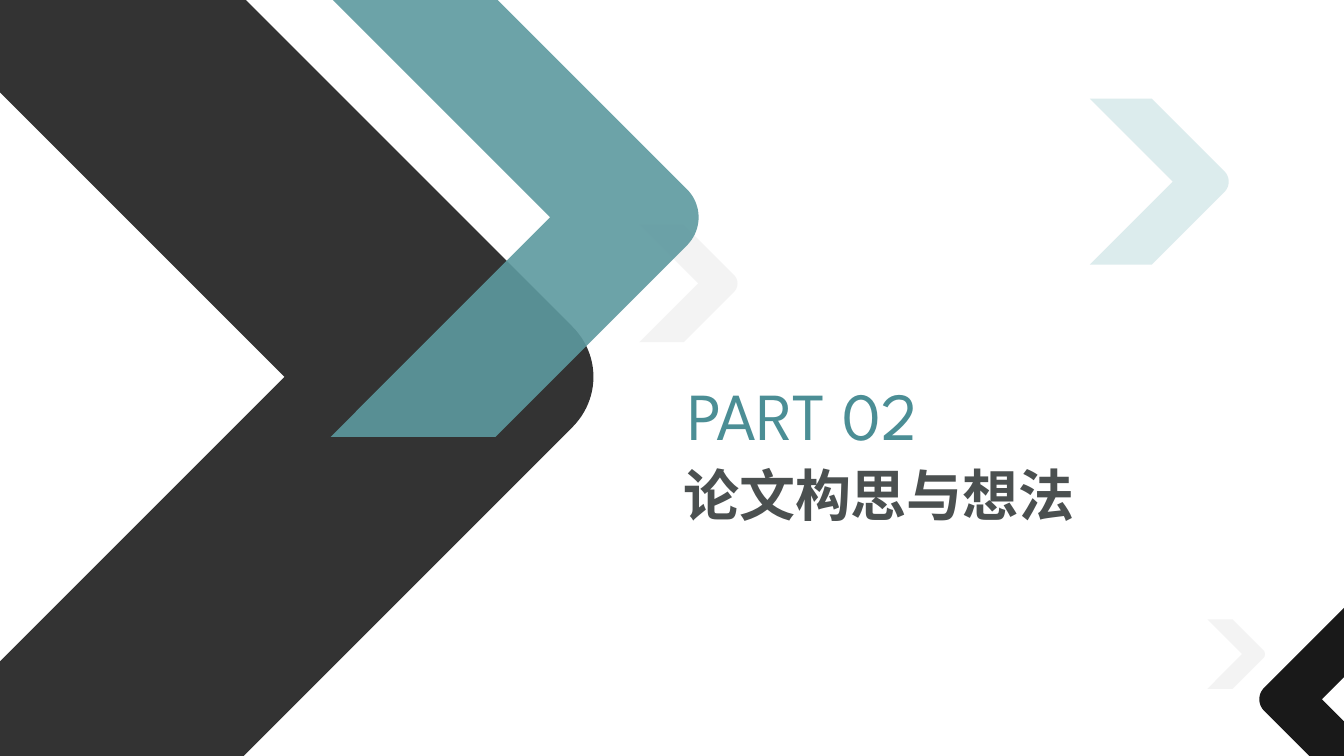
from dataclasses import dataclass
from math import cos, radians, sin

from lxml.etree import SubElement
from pptx import Presentation
from pptx.dml.color import RGBColor
from pptx.enum.text import MSO_ANCHOR, MSO_AUTO_SIZE, PP_ALIGN
from pptx.oxml.ns import qn
from pptx.util import Pt

PX = 9525
WIDTH, HEIGHT = 1280, 720
CORNER_STEPS = 24
CONTROL_RATIO = 0.44

Point = tuple[float, float]


@dataclass(frozen=True)
class Chevron:
    """An arrow outline with a rounded tip; a negative corner points left."""

    tip: int
    middle: int
    corner: int
    arms: tuple[Point, ...]
    color: str
    opacity: int = 90


@dataclass(frozen=True)
class Heading:
    """One line of heading text and its place."""

    text: str
    left: int
    top: int
    width: int
    height: int
    size: int
    color: str
    bold: bool
    wrap: bool


def whole_chevron(left: int, middle: int, half: int, thick: int,
                  corner: int, color: str) -> Chevron:
    """Return an unclipped chevron whose arms run at 45 degrees."""
    top, bottom = middle - half, middle + half
    arms = ((left + thick, bottom), (left, bottom), (left + half, middle),
            (left, top), (left + thick, top))
    return Chevron(left + thick + half, middle, corner, arms, color)


CHEVRONS = (
    whole_chevron(609, 270, 56, 42, 8, "F2F2F2"),
    Chevron(593, 359, 48, ((232, HEIGHT), (0, HEIGHT), (0, 630), (271, 359),
                           (0, 88), (0, 0), (234, 0)), "333333", 100),
    whole_chevron(315, 207, 209, 157, 27, "5D999F"),
    Chevron(1193, 666, -11, ((1247, HEIGHT), (WIDTH, HEIGHT), (WIDTH, 687),
                             (1259, 666), (WIDTH, 645), (WIDTH, 579)), "000000"),
    whole_chevron(1038, 173, 79, 59, 10, "D9EAEC"),
    whole_chevron(1150, 623, 33, 24, 4, "F2F2F2"),
)

SECTION_NUMBER = Heading("PART 02", 645, 350, 262, 87, 48, "4B8E95", False, False)
SECTION_TITLE = Heading("论文构思与想法", 641, 434, 551, 74, 40, "4B5050", True, True)


def rgb(color: str) -> RGBColor:
    """Turn a hex string into a colour."""
    return RGBColor.from_string(color)


def rounded_tip(chevron: Chevron) -> list[Point]:
    """Sample the cubic curve around the tip from top to bottom."""
    reach = abs(chevron.corner)
    points = []
    for step in range(CORNER_STEPS + 1):
        t = step / CORNER_STEPS
        ends = (1 - t) ** 3, t ** 3
        controls = 3 * t * (1 - t) ** 2, 3 * t ** 2 * (1 - t)
        inset = sum(ends) + CONTROL_RATIO * sum(controls)
        drop = ends[1] - ends[0] + CONTROL_RATIO * (controls[1] - controls[0])
        points.append((chevron.tip - chevron.corner * inset,
                       chevron.middle + reach * drop))
    return points


def turned(point: Point, degrees: float) -> Point:
    """Turn a point clockwise about the slide's corner."""
    x, y = point
    angle = radians(degrees)
    return x * cos(angle) - y * sin(angle), x * sin(angle) + y * cos(angle)


def draw_chevron(slide, chevron: Chevron) -> None:
    """Draw one chevron as a filled freeform in a turned frame."""
    turn = 45 if chevron.corner > 0 else -45
    outline = [turned(point, -turn) for point in (*rounded_tip(chevron), *chevron.arms)]
    start, *others = [(round(x * PX), round(y * PX)) for x, y in outline]
    builder = slide.shapes.build_freeform(*start)
    builder.add_line_segments(others, close=True)
    shape = builder.convert_to_shape()
    center = (shape.left + shape.width / 2, shape.top + shape.height / 2)
    center_x, center_y = turned(center, turn)
    shape.left = round(center_x - shape.width / 2)
    shape.top = round(center_y - shape.height / 2)
    shape.rotation = turn
    shape.shadow.inherit = False
    shape.line.fill.background()
    shape.fill.solid()
    shape.fill.fore_color.rgb = rgb(chevron.color)
    if chevron.opacity < 100:
        tint = shape.fill._xPr.find(qn("a:solidFill"))[0]
        SubElement(tint, qn("a:alpha"), val=str(chevron.opacity * 1000))


def fill_heading(placeholder, heading: Heading) -> None:
    """Place a heading and format its text."""
    placeholder.left, placeholder.top = heading.left * PX, heading.top * PX
    placeholder.width, placeholder.height = heading.width * PX, heading.height * PX
    frame = placeholder.text_frame
    frame.text = heading.text
    frame.word_wrap = heading.wrap
    frame.auto_size = MSO_AUTO_SIZE.NONE
    frame.vertical_anchor = MSO_ANCHOR.MIDDLE
    paragraph = frame.paragraphs[0]
    paragraph.alignment = PP_ALIGN.LEFT
    paragraph.space_before = Pt(0)
    font = paragraph.runs[0].font
    font.name = "League Spartan"
    font.size = Pt(heading.size)
    font.bold = heading.bold
    font.color.rgb = rgb(heading.color)


def main() -> None:
    """Build the section slide and save it."""
    deck = Presentation()
    deck.slide_width, deck.slide_height = WIDTH * PX, HEIGHT * PX
    slide = deck.slides.add_slide(deck.slide_layouts[0])
    fill_heading(slide.shapes.title, SECTION_TITLE)
    fill_heading(slide.placeholders[1], SECTION_NUMBER)
    for chevron in CHEVRONS:
        draw_chevron(slide, chevron)
    deck.save("out.pptx")


if __name__ == "__main__":
    main()
